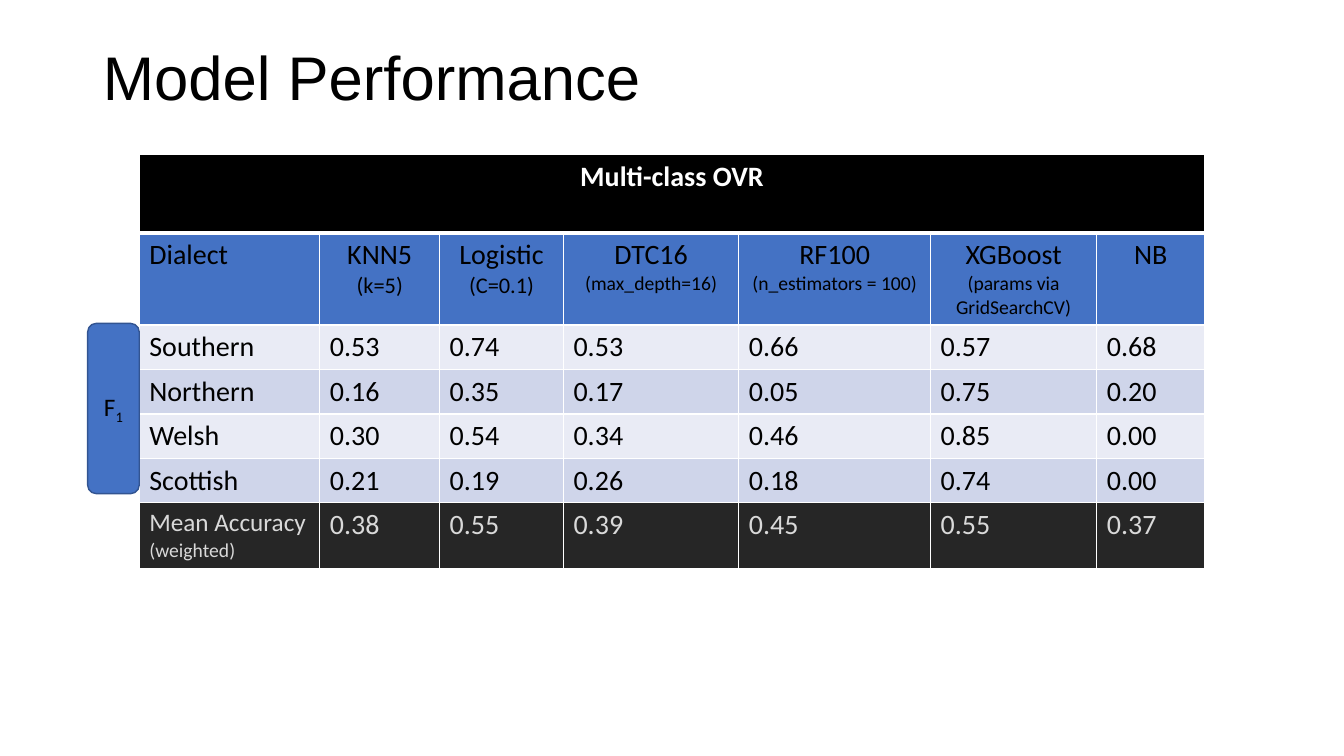
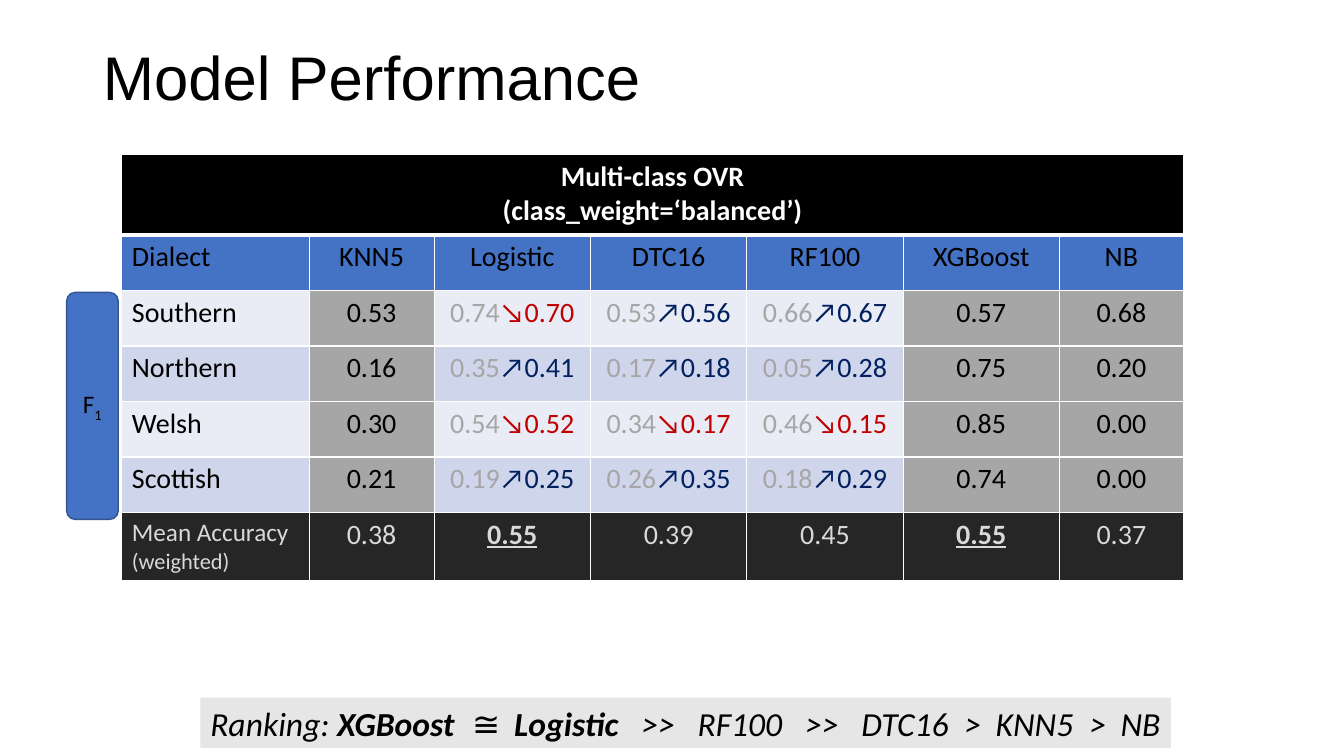
from dataclasses import dataclass, replace
from typing import Any, Optional

from lxml.etree import SubElement
from pptx import Presentation
from pptx.dml.color import RGBColor
from pptx.enum.shapes import MSO_SHAPE
from pptx.enum.text import MSO_ANCHOR, PP_ALIGN
from pptx.oxml.ns import qn
from pptx.util import Cm, Pt


@dataclass(frozen=True)
class Theme:
    head: str = "Arial"
    body: str = "Calibri"
    black: str = "000000"
    white: str = "FFFFFF"
    blue: str = "4472C4"
    edge: str = "325491"
    pale: str = "E9EBF5"
    tint: str = "CFD5EA"
    grey: str = "A6A6A6"
    dark: str = "262626"
    light: str = "D9D9D9"
    panel: str = "E7E6E6"
    rise: str = "002060"
    fall: str = "C00000"
    title: int = 44
    rank: int = 24
    text: int = 20
    label: int = 18
    note: int = 16
    small: int = 14


T = Theme()


@dataclass(frozen=True)
class Style:
    size: int = T.text
    color: str = T.black
    bold: bool = False
    under: bool = False
    slant: bool = False
    face: str = T.body


@dataclass(frozen=True)
class Run:
    text: str
    style: Style = Style()
    base: int = 0


Line = list[Run]


@dataclass(frozen=True)
class Box:
    left: float
    top: float
    width: float
    height: float

    def place(self) -> tuple[Cm, Cm, Cm, Cm]:
        return Cm(self.left), Cm(self.top), Cm(self.width), Cm(self.height)


@dataclass(frozen=True)
class Cell:
    lines: list[Line]
    fill: str
    center: bool = True


@dataclass(frozen=True)
class Grid:
    left: float
    top: float
    cols: list[float]
    rows: list[float]


MODELS = ["KNN5", "Logistic", "DTC16", "RF100", "XGBoost", "NB"]
SCORES = {
    "Southern": ["0.53", "0.74", "0.53", "0.66", "0.57", "0.68"],
    "Northern": ["0.16", "0.35", "0.17", "0.05", "0.75", "0.20"],
    "Welsh": ["0.30", "0.54", "0.34", "0.46", "0.85", "0.00"],
    "Scottish": ["0.21", "0.19", "0.26", "0.18", "0.74", "0.00"],
}
MEANS = ["0.38", "0.55", "0.39", "0.45", "0.55", "0.37"]
TUNED = {
    "Southern": ["0.70", "0.56", "0.67"],
    "Northern": ["0.41", "0.18", "0.28"],
    "Welsh": ["0.52", "0.17", "0.15"],
    "Scottish": ["0.25", "0.35", "0.29"],
}
NOTES = [
    ("(k=5)", T.note),
    ("(C=0.1)", T.note),
    ("(max_depth=16)", T.small),
    ("(n_estimators = 100)", T.small),
    ("(params via GridSearchCV)", T.small),
]
STOPS = [6.6, 7.66, 10.87, 12.28, 15.0, 16.41, 19.01, 19.79, 22.16, 22.94]


def rgb(color: str) -> RGBColor:
    return RGBColor.from_string(color)


def dress(font: Any, style: Style) -> None:
    font.name = style.face
    font.size = Pt(style.size)
    font.color.rgb = rgb(style.color)
    font.bold = style.bold
    font.italic = style.slant
    font.underline = style.under


def write(frame: Any, lines: list[Line], align: Any,
          stops: Optional[list[float]] = None) -> None:
    for i, line in enumerate(lines):
        para = frame.add_paragraph() if i else frame.paragraphs[0]
        para.alignment = align
        if stops:
            tabs = SubElement(para._p.get_or_add_pPr(), qn("a:tabLst"))
            for stop in stops:
                SubElement(tabs, qn("a:tab"), pos=str(int(Cm(stop))), algn="l")
        same = len({part.style for part in line}) == 1
        if same:
            dress(para.font, line[0].style)
        for part in line:
            run = para.add_run()
            run.text = part.text
            if not same:
                dress(run.font, part.style)
            if part.base:
                run._r.get_or_add_rPr().set("baseline", str(part.base * 1000))


def border(cell: Any, base: int) -> None:
    props = cell._tc.get_or_add_tcPr()
    for side, width in (("L", 1), ("R", 1), ("T", 1), ("B", base)):
        line = SubElement(props, qn(f"a:ln{side}"), w=str(int(Pt(width))))
        fill = SubElement(line, qn("a:solidFill"))
        SubElement(fill, qn("a:srgbClr"), val=T.white)


def add_grid(slide: Any, grid: Grid, banner: list[str],
             body: list[list[Cell]]) -> None:
    box = Box(grid.left, grid.top, sum(grid.cols), sum(grid.rows))
    table = slide.shapes.add_table(len(grid.rows), len(grid.cols), *box.place()).table
    table.first_row = False
    table.horz_banding = False
    for col, width in zip(table.columns, grid.cols):
        col.width = Cm(width)
    for row, height in zip(table.rows, grid.rows):
        row.height = Cm(height)
    top = Style(color=T.white, bold=True)
    first = Cell([[Run(text, top)] for text in banner], T.black)
    blank = Cell([], T.black)
    full = [[first] + [blank] * (len(grid.cols) - 1)] + body
    table.cell(0, 0).merge(table.cell(0, len(grid.cols) - 1))
    for r, row in enumerate(full):
        for c, item in enumerate(row):
            cell = table.cell(r, c)
            border(cell, 1 if r else 3)
            cell.fill.solid()
            cell.fill.fore_color.rgb = rgb(item.fill)
            write(cell.text_frame, item.lines,
                  PP_ALIGN.CENTER if item.center else PP_ALIGN.LEFT)


def add_block(slide: Any, kind: Any, box: Box, fill: str,
              edge: Optional[str] = None) -> Any:
    shape = slide.shapes.add_shape(kind, *box.place())
    shape.shadow.inherit = False
    shape.fill.solid()
    shape.fill.fore_color.rgb = rgb(fill)
    if edge:
        shape.line.color.rgb = rgb(edge)
        shape.line.width = Pt(1)
    else:
        shape.line.fill.background()
    return shape.text_frame


def add_tag(slide: Any, box: Box) -> None:
    frame = add_block(slide, MSO_SHAPE.ROUNDED_RECTANGLE, box, T.blue, T.edge)
    frame.vertical_anchor = MSO_ANCHOR.MIDDLE
    style = Style(T.label)
    write(frame, [[Run("F", style), Run("1", style, -25)]], PP_ALIGN.CENTER)


def add_rank(slide: Any, box: Box) -> None:
    frame = add_block(slide, MSO_SHAPE.RECTANGLE, box, T.panel)
    frame.vertical_anchor = MSO_ANCHOR.TOP
    frame.word_wrap = True
    plain = Style(T.rank, slant=True)
    bold = replace(plain, bold=True)
    rest = ["", ">>", "RF100", ">>", "DTC16", ">", "KNN5", ">", "NB"]
    line = [Run("Ranking: ", plain), Run("XGBoost", bold), Run("\t≅\t", plain),
            Run("Logistic", bold), Run("\t".join(rest), plain)]
    write(frame, [line], PP_ALIGN.LEFT, STOPS)


def add_page(deck: Any) -> Any:
    slide = deck.slides.add_slide(deck.slide_layouts[5])
    title = slide.shapes.title
    title.left, title.top, title.width, title.height = Box(2.34, 0.2, 29.21, 3.68).place()
    title.text_frame.vertical_anchor = MSO_ANCHOR.MIDDLE
    write(title.text_frame, [[Run("Model Performance", Style(T.title, face=T.head))]],
          PP_ALIGN.LEFT)
    title.text_frame.paragraphs[0].line_spacing = 0.9
    return slide


def heads(notes: list[tuple[str, int]]) -> list[Cell]:
    row = [Cell([[Run("Dialect")]], T.blue, False)]
    for i, name in enumerate(MODELS):
        extra = [[Run(text, Style(size))] for text, size in notes[i:i + 1]]
        row.append(Cell([[Run(name)]] + extra, T.blue))
    return row


def means(note: int, best: bool) -> list[Cell]:
    lines = [[Run("Mean Accuracy", Style(T.label, T.light))],
             [Run("(weighted)", Style(note, T.light))]]
    row = [Cell(lines, T.dark, False)]
    for mean in MEANS:
        mark = best and mean == max(MEANS)
        style = Style(color=T.light, bold=mark, under=mark)
        row.append(Cell([[Run(mean, style)]], T.dark, best))
    return row


def change(old: str, new: str) -> Line:
    up = float(new) > float(old)
    sign, color = ("↗︎", T.rise) if up else ("↘︎", T.fall)
    return [Run(old, Style(color=T.grey)), Run(sign + new, Style(color=color))]


def scores(tuned: bool) -> list[list[Cell]]:
    rows = []
    for i, (name, olds) in enumerate(SCORES.items()):
        fill = (T.pale, T.tint)[i % 2]
        row = [Cell([[Run(name)]], fill, False)]
        for c, old in enumerate(olds):
            if tuned and 1 <= c <= 3:
                row.append(Cell([change(old, TUNED[name][c - 1])], fill))
            else:
                row.append(Cell([[Run(old)]], T.grey if tuned else fill, tuned))
        rows.append(row)
    return rows


def main() -> None:
    deck = Presentation()
    deck.slide_width, deck.slide_height = Cm(33.87), Cm(19.05)

    slide = add_page(deck)
    grid = Grid(3.51, 3.89, [4.55, 3.02, 3.12, 4.42, 4.83, 4.19, 2.72],
                [1.98, 2.29] + [1.12] * 4 + [1.65])
    add_grid(slide, grid, ["Multi-class OVR"],
             [heads(NOTES), *scores(False), means(T.small, False)])
    add_tag(slide, Box(2.21, 8.15, 1.3, 4.29))

    slide = add_page(deck)
    grid = Grid(3.07, 3.89, [4.72, 3.15] + [3.94] * 4 + [3.12],
                [2.03] + [1.4] * 5 + [1.71])
    add_grid(slide, grid, ["Multi-class OVR", "(class_weight=‘balanced’)"],
             [heads([]), *scores(True), means(T.note, True)])
    add_rank(slide, Box(5.05, 17.58, 24.46, 1.27))
    add_tag(slide, Box(1.68, 7.37, 1.3, 5.72))

    deck.save("out.pptx")


if __name__ == "__main__":
    main()
